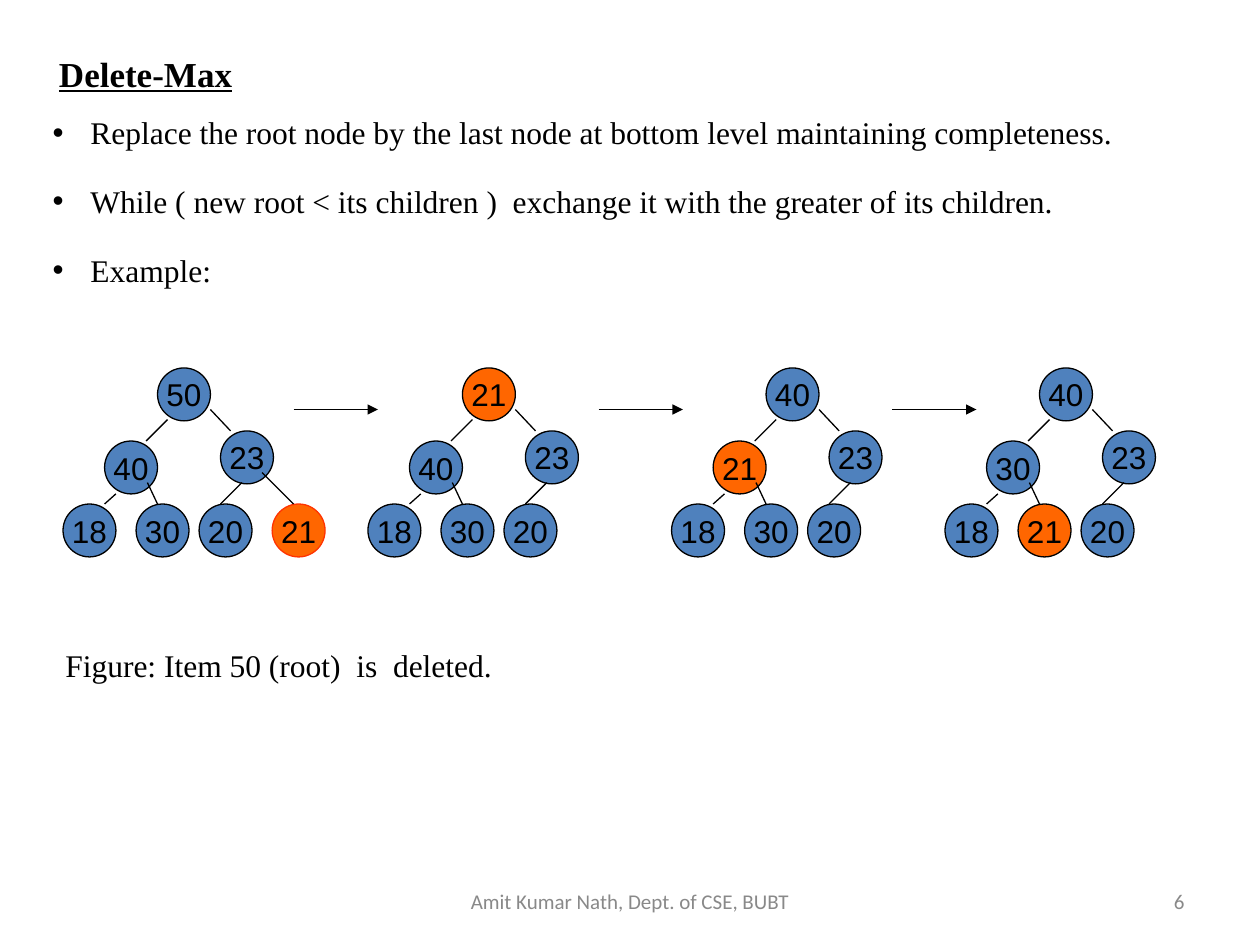
from dataclasses import dataclass

from lxml import etree
from pptx import Presentation
from pptx import util as u
from pptx.dml.color import RGBColor
from pptx.enum import shapes, text
from pptx.oxml.ns import qn


@dataclass(frozen=True)
class Theme:
    ink: str = "000000"
    muted: str = "898989"
    node: str = "4F81BD"
    moved: str = "FF6600"
    removed_line: str = "FF3300"
    serif: str = "Times New Roman"
    sans: str = "Arial"
    footer_font: str = "Calibri"
    title_size: int = 20
    body_size: int = 18
    footer_size: int = 12
    line_width: float = 0.75


THEME = Theme()
NODE_SIZE = 0.42
TREE_TOP = 2.92

# Left and top of each node, relative to its tree, in level order
NODE_OFFSETS = [(0.75, 0), (0.33, 0.58), (1.25, 0.5),
                (0, 1.08), (0.58, 1.08), (1.08, 1.08), (1.66, 1.08)]

# Start and end of the edge above each node after the root
EDGES = [((0.83, 0.41), (0.66, 0.58)), ((1.17, 0.33), (1.33, 0.5)),
         ((0.42, 1), (0.33, 1.08)), ((0.67, 0.91), (0.75, 1.08)),
         ((1.42, 0.91), (1.25, 1.08)), ((1.83, 1.08), (1.58, 0.83))]

# Left of the tree, values in level order, index of the highlighted node
TREES = [(0.5, [50, 40, 23, 18, 30, 20, 21], 6),
         (2.92, [21, 40, 23, 18, 30, 20], 0),
         (5.33, [40, 21, 23, 18, 30, 20], 1),
         (7.5, [40, 30, 23, 18, 21, 20], 4)]
ARROW_LEFTS = [2.33, 4.75, 7.08]
ARROW_LENGTH = 0.67
ARROW_Y = 3.25

BULLETS = [
    "Replace the root node by the last node at bottom level maintaining completeness.",
    "While ( new root < its children )  exchange it with the greater of its children.",
    "Example:",
]


def rgb(value):
    return RGBColor.from_string(value)


def add_bullet(paragraph, indent=0.3):
    properties = paragraph._p.get_or_add_pPr()
    properties.set("marL", str(u.Inches(indent)))
    properties.set("indent", str(-u.Inches(indent)))
    color = etree.SubElement(properties, qn("a:buClr"))
    etree.SubElement(color, qn("a:srgbClr"), val=THEME.ink)
    etree.SubElement(properties, qn("a:buFont"), typeface=THEME.sans)
    etree.SubElement(properties, qn("a:buChar"), char="•")


def write(frame, lines, font=THEME.serif, size=THEME.body_size, color=THEME.ink,
          align=text.PP_ALIGN.LEFT, anchor=text.MSO_ANCHOR.TOP, bold=False,
          underline=False, bullets=False, spacing=None, gap=0, wrap=True):
    """Fill a text frame with one paragraph per line."""
    frame.word_wrap = wrap
    frame.vertical_anchor = anchor
    for index, line in enumerate(lines):
        paragraph = frame.add_paragraph() if index else frame.paragraphs[0]
        if bullets:
            add_bullet(paragraph)
        paragraph.alignment = align
        if spacing:
            paragraph.line_spacing = spacing
        if index:
            paragraph.space_before = u.Pt(gap)
        run = paragraph.add_run()
        run.text = line
        run.font.name = font
        run.font.size = u.Pt(size)
        run.font.bold = bold
        run.font.underline = underline
        run.font.color.rgb = rgb(color)


def add_text(slide, left, top, width, height, *lines, **text_format):
    box = slide.shapes.add_textbox(*map(u.Inches, (left, top, width, height)))
    write(box.text_frame, lines, **text_format)


def add_line(container, start, end, arrow=False):
    connector = container.shapes.add_connector(
        shapes.MSO_CONNECTOR.STRAIGHT, *map(u.Inches, (*start, *end)))
    connector.line.color.rgb = rgb(THEME.ink)
    connector.line.width = u.Pt(THEME.line_width)
    if arrow:
        etree.SubElement(connector.line._get_or_add_ln(), qn("a:tailEnd"), type="triangle")
    etree.SubElement(connector._element.spPr, qn("a:effectLst"))


def add_node(container, left, top, value, fill, outline):
    node = container.shapes.add_shape(
        shapes.MSO_SHAPE.OVAL, *map(u.Inches, (left, top, NODE_SIZE, NODE_SIZE)))
    node.shadow.inherit = False
    node.fill.solid()
    node.fill.fore_color.rgb = rgb(fill)
    node.line.color.rgb = rgb(outline)
    node.line.width = u.Pt(THEME.line_width)
    write(node.text_frame, [str(value)], font=THEME.sans, wrap=False,
          align=text.PP_ALIGN.CENTER, anchor=text.MSO_ANCHOR.MIDDLE)


def add_tree(slide, left, values, highlighted):
    group = slide.shapes.add_group_shape()
    for index, (value, (x, y)) in enumerate(zip(values, NODE_OFFSETS)):
        fill = THEME.moved if index == highlighted else THEME.node
        outline = THEME.removed_line if index == 6 else THEME.ink
        add_node(group, left + x, TREE_TOP + y, value, fill, outline)
    for edge in EDGES[:len(values) - 1]:
        start, end = [(left + x, TREE_TOP + y) for x, y in edge]
        add_line(group, start, end)


def main():
    presentation = Presentation()
    presentation.slide_width = u.Inches(10)
    presentation.slide_height = u.Inches(7.5)
    slide = presentation.slides.add_slide(presentation.slide_layouts[6])

    middle = text.MSO_ANCHOR.MIDDLE
    add_text(slide, 0.37, 0.36, 8.2, 0.44, "Delete-Max", size=THEME.title_size,
             bold=True, underline=True, anchor=middle)
    add_text(slide, 0.32, 0.76, 9.5, 2.82, *BULLETS, bullets=True, spacing=1.3, gap=11.2)
    for tree in TREES:
        add_tree(slide, *tree)
    for left in ARROW_LEFTS:
        add_line(slide, (left, ARROW_Y), (left + ARROW_LENGTH, ARROW_Y), arrow=True)
    add_text(slide, 0.42, 5.08, 4.75, 0.4, "Figure: Item 50 (root)  is  deleted.")

    footer = dict(font=THEME.footer_font, size=THEME.footer_size,
                  color=THEME.muted, anchor=middle)
    add_text(slide, 3.42, 6.95, 3.16, 0.4, "Amit Kumar Nath, Dept. of CSE, BUBT",
             align=text.PP_ALIGN.CENTER, **footer)
    add_text(slide, 7.17, 6.95, 2.33, 0.4, "6", align=text.PP_ALIGN.RIGHT, **footer)
    presentation.save("out.pptx")


if __name__ == "__main__":
    main()
